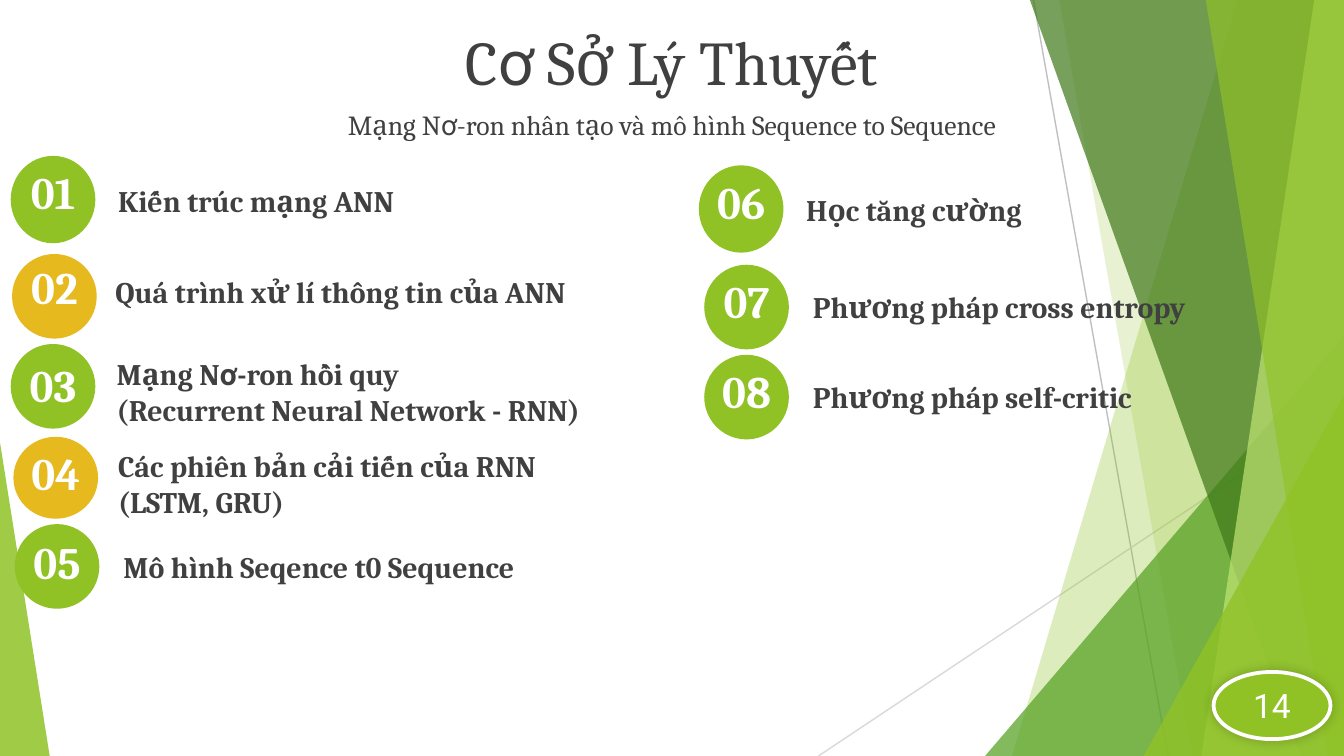
from lxml.etree import SubElement
from pptx import Presentation
from pptx.dml.color import RGBColor
from pptx.enum.shapes import MSO_CONNECTOR, MSO_SHAPE
from pptx.enum.text import MSO_ANCHOR, MSO_AUTO_SIZE, PP_ALIGN
from pptx.oxml.ns import qn
from pptx.util import Inches, Pt

COLOURS = {
    "lime": "90C226", "gold": "E6B91E", "leaf": "54A021", "forest": "3F7819",
    "pale": "C0E474", "text": "404040", "white": "FFFFFF", "black": "000000",
    "line": "BFBFBF", "faint line": "D9D9D9",
}

deck = Presentation()
deck.slide_width = Inches(10)
deck.slide_height = deck.slide_width * 9 // 16
page = deck.slides.add_slide(deck.slide_layouts[6])

# Square grid: 100 columns across, 56.25 rows down
CELL = deck.slide_width // 100
COLS, ROWS = 100, 56.25


def paint(shape, colour, opacity=100):
    shape.shadow.inherit = False
    shape.line.fill.background()
    shape.fill.solid()
    shape.fill.fore_color.rgb = RGBColor.from_string(COLOURS[colour])
    if opacity < 100:
        tone = shape.fill._xPr.find(f"{qn('a:solidFill')}/{qn('a:srgbClr')}")
        SubElement(tone, qn("a:alpha"), val=str(opacity * 1000))


def write(frame, lines, size, colour, bold=False, align=PP_ALIGN.LEFT, fonts=("Cambria", "Roboto")):
    """Fill a text frame; each | in a line switches between the two fonts."""
    frame.word_wrap = True
    frame.text = "\n".join(line.replace("|", "") for line in lines)
    for para, line in zip(frame.paragraphs, lines):
        para.alignment = align
        pieces = line.split("|")
        para.text = pieces[0]
        for piece in pieces[1:]:
            para.add_run().text = piece
        for index, span in enumerate(para.runs):
            span.font.name = fonts[index % 2]
            span.font.size = Pt(size)
            span.font.bold = bold
            span.font.color.rgb = RGBColor.from_string(COLOURS[colour])


# Thin lines behind the facets
for start_x, start_y, end_x, colour in [
    (76.9, 0, 86.9, "line"),
    (COLS, 30.2, 60.9, "faint line"),
]:
    ends = [int(n * CELL) for n in (start_x, start_y, end_x, ROWS)]
    line = page.shapes.add_connector(MSO_CONNECTOR.STRAIGHT, *ends)
    line.line.color.rgb = RGBColor.from_string(COLOURS[colour])
    line.line.width = Pt(0.75)
    SubElement(line._element.spPr, qn("a:effectLst"))

# Facets reach the right and bottom edges: top x, top y, bottom x, colour, opacity
for top_x, top_y, bottom_x, colour, opacity in [
    (92.1, -0.1, 75.3, "lime", 30),
    (78.8, -0.1, 88.7, "lime", 20),
    (COLS, 25, 73.3, "leaf", 72),
    (76.6, -0.1, 96.8, "forest", 70),
    (97.8, -0.1, 89.4, "pale", 70),
    (89.7, -0.1, 98.8, "lime", 65),
    (COLS, 29.4, 85.1, "lime", 80),
]:
    if top_x == COLS:
        place = [int(n * CELL) for n in (bottom_x, top_y, COLS - bottom_x, ROWS - top_y)]
        facet = page.shapes.add_shape(MSO_SHAPE.ISOSCELES_TRIANGLE, *place)
        facet.adjustments[0] = 1
    else:
        corners = [(int(x * CELL), int(y * CELL)) for x, y in
                   [(top_x, top_y), (COLS, top_y), (COLS, ROWS), (bottom_x, ROWS)]]
        outline = page.shapes.build_freeform(*corners[0])
        outline.add_line_segments(corners[1:])
        facet = outline.convert_to_shape()
    paint(facet, colour, opacity)

sliver = page.shapes.add_shape(
    MSO_SHAPE.ISOSCELES_TRIANGLE, *[int(n * CELL) for n in (0, 32.9, 3.7, ROWS - 32.9)])
sliver.adjustments[0] = 0
paint(sliver, "lime", 85)

# Title and subtitle
for top, height, size, heading in [
    (1.4, 6.3, 33.3, "C|ơ| Sở Lý Thuyết"),
    (7.7, 3.1, 14.8, "Mạng N|ơ|-ron nhân tạo và mô hình Sequence to Sequence"),
]:
    box = page.shapes.add_textbox(*[int(n * CELL) for n in (0, top, COLS, height)])
    box.text_frame.vertical_anchor = MSO_ANCHOR.MIDDLE
    write(box.text_frame, [heading], size, "text", align=PP_ALIGN.CENTER)

# Agenda: disc left, top and height, drop of number and label below disc top,
# label distance from disc left, colour, label
DISC, NUMBER, LABEL = 6.3, 7, 40.2
agenda = [
    (0.8, 11.6, 6.5, 0.2, 1.5, 7, "lime", ["Kiến trúc mạng ANN"]),
    (0.9, 18.9, 6.3, -0.1, 1, 6.7, "gold", ["Quá trình xử lí thông tin của ANN"]),
    (0.8, 25.6, 6.3, 0.5, 0.4, 6.9, "lime",
     ["Mạng N|ơ|-ron hồi quy", "(Recurrent Neural Network - RNN)"]),
    (1, 32.5, 6.1, 0.2, 0.3, 6.8, "gold", ["Các phiên bản cải tiến của RNN", "(LSTM, GRU)"]),
    (1.1, 39, 6.3, 0.3, 1.3, 7.1, "lime", ["Mô hình Seqence t0 Sequence"]),
    (52, 12.3, 6.5, 0.2, 1.5, 7, "lime", ["Học tăng cường"]),
    (52.4, 19.7, 6.3, 0.2, 1.3, 7.1, "lime", ["Phương pháp cross entropy"]),
    (52.4, 26.4, 6.3, 0.2, 1.3, 7.1, "lime", ["Phương pháp self-critic"]),
]
for order, (left, top, height, number_drop, label_drop, shift, colour, lines) in enumerate(agenda, 1):
    entry = page.shapes.add_group_shape().shapes
    disc = entry.add_shape(MSO_SHAPE.OVAL, *[int(n * CELL) for n in (left, top, DISC, height)])
    paint(disc, colour)
    number_left = left + (DISC - NUMBER) / 2
    label_height = 1 + 2.7 * len(lines)
    for place, words, size, ink, align in [
        ((left + shift, top + label_drop, LABEL, label_height), lines, 16, "text",
         PP_ALIGN.LEFT),
        ((number_left, top + number_drop, NUMBER, 5), [f"{order:02}"], 24, "white",
         PP_ALIGN.CENTER),
    ]:
        box = entry.add_textbox(*[int(n * CELL) for n in place])
        box.text_frame.auto_size = MSO_AUTO_SIZE.SHAPE_TO_FIT_TEXT
        write(box.text_frame, words, size, ink, True, align)

# Page number
badge = page.shapes.add_shape(MSO_SHAPE.OVAL, *[int(n * CELL) for n in (90.3, 50, 8.7, 5)])
paint(badge, "lime")
badge.line.color.rgb = RGBColor.from_string(COLOURS["white"])
badge.line.width = Pt(2)
glow = SubElement(badge._element.spPr.find(qn("a:effectLst")), qn("a:outerShdw"),
                  blurRad=str(Pt(6)), dist="0", dir=str(315 * 60000))
shade = SubElement(glow, qn("a:srgbClr"), val=COLOURS["black"])
SubElement(shade, qn("a:alpha"), val="20000")
badge.text_frame.vertical_anchor = MSO_ANCHOR.MIDDLE
write(badge.text_frame, ["14"], 18, "white", align=PP_ALIGN.CENTER, fonts=("Roboto",) * 2)

deck.save("out.pptx")
